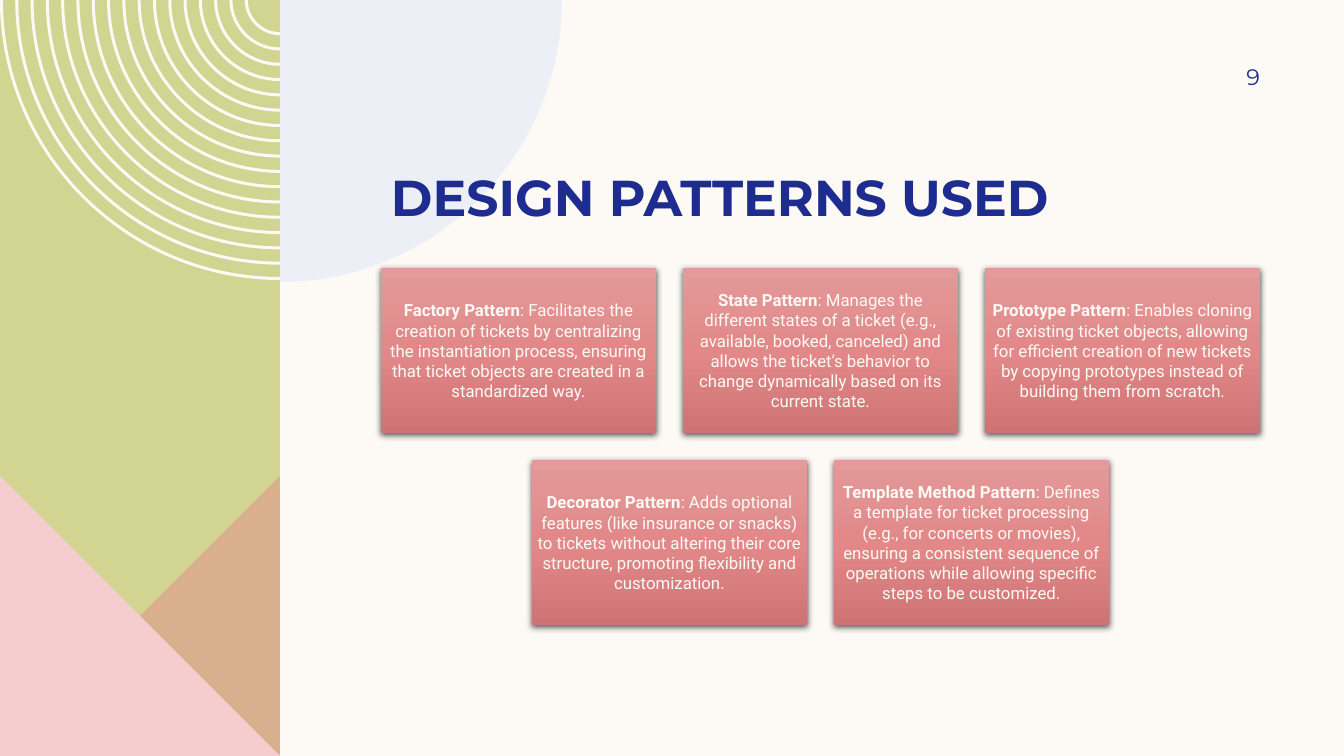
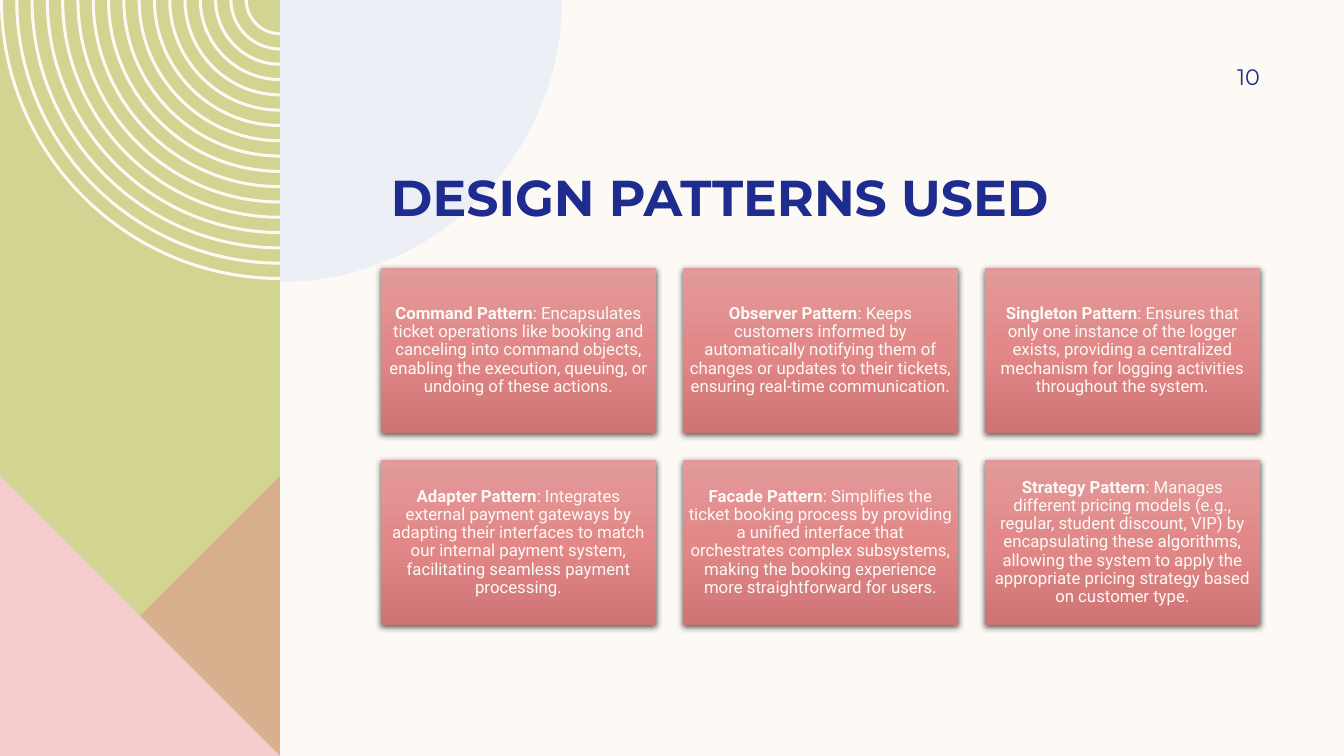
"""Build two slides of design pattern cards beside a geometric side panel."""
from lxml.etree import SubElement as Sub
from pptx import Presentation as Deck
from pptx.dml.color import RGBColor as Rgb
from pptx.enum.shapes import MSO_SHAPE as Kind
from pptx.enum.text import MSO_ANCHOR as Anchor, PP_ALIGN as Align
from pptx.oxml.ns import qn
from pptx.util import Pt

PX = 914400 / 100.8
WIDE, HIGH = 1344, 756
SIDE = 280
BEND = 0.55
HEX = {
    "cream": "FDFAF6", "green": "D2D592", "rose": "DE8C8C", "pink": "F5CDCE",
    "sky": "DDE7F6", "navy": "1F2C8F", "black": "000000",
    "light": "E39A9A", "mid": "E28888", "deep": "CE7474",
}
HEAD = {"name": "Montserrat", "size": Pt(36), "bold": True}
PAGE = {"name": "Montserrat", "size": Pt(16), "bold": False}
TERM = {"name": "Roboto", "size": Pt(12), "bold": True}
BODY = {**TERM, "bold": False}
LEFT, TOP, COLS = 381, 268, 3
CARD_W, CARD_H, GAP = 275, 165, 27
TITLE = "DESIGN PATTERNS USED"
FIRST = [
    ("Factory Pattern", ": Facilitates the creation of tickets by centralizing the instantiation "
     "process, ensuring that ticket objects are created in a standardized way."),
    ("State Pattern", ": Manages the different states of a ticket (e.g., available, booked, "
     "canceled) and allows the ticket’s behavior to change dynamically based on its current state."),
    ("Prototype Pattern", ": Enables cloning of existing ticket objects, allowing for efficient "
     "creation of new tickets by copying prototypes instead of building them from scratch."),
    ("Decorator Pattern", ": Adds optional features (like insurance or snacks) to tickets without "
     "altering their core structure, promoting flexibility and customization."),
    ("Template Method Pattern", ": Defines a template for ticket processing (e.g., for concerts or "
     "movies), ensuring a consistent sequence of operations while allowing specific steps to be "
     "customized."),
]
SECOND = [
    ("Command Pattern", ": Encapsulates ticket operations like booking and canceling into command "
     "objects, enabling the execution, queuing, or undoing of these actions."),
    ("Observer Pattern", ": Keeps customers informed by automatically notifying them of changes or "
     "updates to their tickets, ensuring real-time communication."),
    ("Singleton Pattern", ": Ensures that only one instance of the logger exists, providing a "
     "centralized mechanism for logging activities throughout the system."),
    ("Adapter Pattern", ": Integrates external payment gateways by adapting their interfaces to "
     "match our internal payment system, facilitating seamless payment processing."),
    ("Facade Pattern", ": Simplifies the ticket booking process by providing a unified interface "
     "that orchestrates complex subsystems, making the booking experience more straightforward "
     "for users."),
    ("Strategy Pattern", ": Manages different pricing models (e.g., regular, student discount, "
     "VIP) by encapsulating these algorithms, allowing the system to apply the appropriate "
     "pricing strategy based on customer type."),
]


def emu(*vals):
    return [round(val * PX) for val in vals]


def tint(name):
    return Rgb.from_string(HEX[name])


def style(item, vals):
    for key, val in vals.items():
        setattr(item, key, val)


def curve(shape, loops):
    nodes = iter(list(shape.element.iter(qn("a:lnTo"))))
    for loop in loops:
        for step in loop[1:]:
            node, *extra = [next(nodes) for _ in step]
            if extra:
                node.tag = qn("a:cubicBezTo")
            for other in extra:
                node.append(other[0])
                other.getparent().remove(other)


def outline(slide, loops, color, alpha=None):
    pen = None
    for loop in loops:
        start, *rest = [emu(*spot) for step in loop for spot in step]
        if pen is None:
            pen = slide.shapes.build_freeform(*start, scale=1.0)
        else:
            pen.move_to(*start)
        pen.add_line_segments(rest, close=True)
    shape = pen.convert_to_shape()
    curve(shape, loops)
    shape.shadow.inherit = False
    shape.line.fill.background()
    shape.fill.solid()
    shape.fill.fore_color.rgb = tint(color)
    if alpha:
        tone = shape.element.spPr.find(qn("a:solidFill")).find(qn("a:srgbClr"))
        Sub(tone, qn("a:alpha"), val=str(alpha * 1000))


def sharp(*spots):
    return [[spot] for spot in spots]


def arc(radius, way):
    pull = radius * BEND
    return [(SIDE + way * radius, 0), (SIDE + way * radius, pull),
            (SIDE + way * pull, radius), (SIDE, radius)]


def ring(radius):
    outer, inner = arc(radius, -1), arc(radius - 3, -1)[::-1]
    return [outer[:1], outer[1:], inner[:1], inner[1:]]


def panel(slide):
    base = HIGH - SIDE
    rim, *bow = arc(282, 1)
    outline(slide, [sharp((0, 0), (SIDE, 0), (SIDE, HIGH), (0, HIGH))], "green")
    outline(slide, [ring(SIDE - 15.3 * i) for i in range(17)], "cream")
    outline(slide, [sharp((SIDE, base), (SIDE, HIGH), (0, HIGH))], "rose", 50)
    outline(slide, [sharp((0, base), (SIDE, HIGH), (0, HIGH))], "pink")
    outline(slide, [sharp((SIDE, 0), rim) + [bow]], "sky", 50)


def write(shape, runs, color, align, anchor, pads, space=1.0):
    frame = shape.text_frame
    sides = ("margin_left", "margin_top", "margin_right", "margin_bottom")
    style(frame, {"word_wrap": True, "vertical_anchor": anchor, **dict(zip(sides, emu(*pads)))})
    para = frame.paragraphs[0]
    style(para, {"alignment": align, "line_spacing": space})
    for text, face in runs:
        run = para.add_run()
        run.text = text
        style(run.font, face)
        run.font.color.rgb = tint(color)


def label(slide, rect, text, face, align, anchor, pads):
    box = slide.shapes.add_textbox(*emu(*rect))
    write(box, [(text, face)], "navy", align, anchor, pads)


def shade(shape):
    shape.fill.gradient()
    shape.fill.gradient_angle = 270
    props = shape.element.spPr
    stops = props.find(qn("a:gradFill")).find(qn("a:gsLst"))
    stops.clear()
    for i, name in enumerate(("light", "mid", "deep")):
        stop = Sub(stops, qn("a:gs"), pos=str(50000 * i))
        Sub(stop, qn("a:srgbClr"), val=HEX[name])
    shape.shadow.inherit = False
    drop = Sub(props.find(qn("a:effectLst")), qn("a:outerShdw"), blurRad=str(Pt(4.5)),
               dist=str(Pt(1.5)), dir="5400000", algn="ctr", rotWithShape="0")
    tone = Sub(drop, qn("a:srgbClr"), val=HEX["black"])
    Sub(tone, qn("a:alpha"), val="63000")


def card(slide, left, top, term, body, space):
    box = slide.shapes.add_shape(Kind.RECTANGLE, *emu(left, top, CARD_W, CARD_H))
    box.line.fill.background()
    shade(box)
    write(box, [(term, TERM), (body, BODY)], "cream", Align.CENTER, Anchor.MIDDLE,
          (5, 5, 5, 5), space)


def grid(slide, cards, space):
    pitch = CARD_W + GAP
    for start in range(0, len(cards), COLS):
        row = cards[start:start + COLS]
        left = LEFT + (COLS - len(row)) * pitch // 2
        top = TOP + start // COLS * (CARD_H + GAP)
        for i, (term, body) in enumerate(row):
            card(slide, left + i * pitch, top, term, body, space)


def build(deck, page, cards, space):
    slide = deck.slides.add_slide(deck.slide_layouts[6])
    slide.background.fill.solid()
    slide.background.fill.fore_color.rgb = tint("cream")
    panel(slide)
    label(slide, (381, 117, 878, 110), TITLE, HEAD, Align.LEFT, Anchor.BOTTOM, (10, 0, 10, 0))
    label(slide, (1142, 50, 118, 53), page, PAGE, Align.RIGHT, Anchor.MIDDLE, (10, 5, 0, 5))
    grid(slide, cards, space)


def main():
    deck = Deck()
    deck.slide_width, deck.slide_height = emu(WIDE, HIGH)
    build(deck, "9", FIRST, 1.0)
    build(deck, "10", SECOND, 0.9)
    deck.save("out.pptx")


if __name__ == "__main__":
    main()
